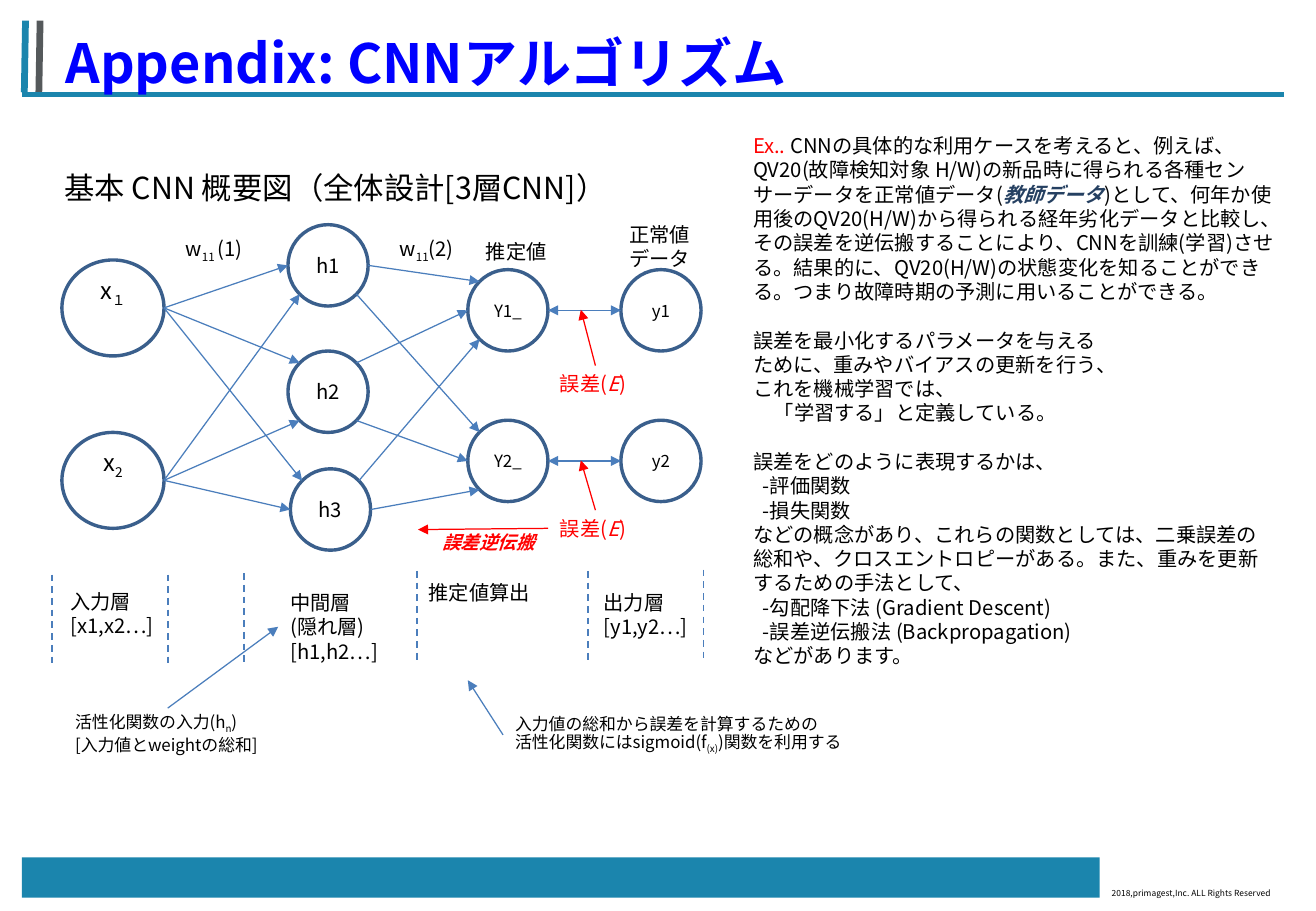
from dataclasses import dataclass
from math import sqrt

from pptx import Presentation
from pptx import util as u
from pptx.dml.color import RGBColor
from pptx.enum import dml, shapes, text
from pptx.oxml.ns import qn
from lxml import etree


@dataclass(frozen=True)
class Theme:
    font: str = "Noto Sans CJK JP"
    teal: str = "1B85AD"
    grey: str = "55595B"
    title: str = "0000FF"
    ink: str = "000000"
    red: str = "FF0000"
    navy: str = "254061"
    ring: str = "3A5F8C"
    link: str = "4B7EBC"
    title_size: int = 32
    heading_size: int = 18
    input_size: int = 14
    body_size: int = 12
    back_size: int = 11
    note_size: int = 10
    legal_size: int = 5
    leading: float = 1.2


T = Theme()

# Content: a run is a string or (string, style); a paragraph is a list of runs
SUB = {"sub": True}
RED = {"color": T.red}
TITLE = [[("Appendix: CNNアルゴリズム", {"bold": True, "color": T.title})]]
ERROR = [[("誤差(", RED), ("E", {"italic": True, **RED}), (")", RED)]]
BACKPROP = [[("誤差逆伝搬", {"bold": True, "italic": True, **RED})]]

# left, top, width, height, size, paragraphs
LABELS = [
    (0.44, 0.19, 6.49, 0.64, T.title_size, TITLE),
    (0.43, 1.34, 4.81, 0.4, T.heading_size, [["基本 CNN 概要図（全体設計[3層CNN]）"]]),
    (1.43, 1.92, 0.75, 0.3, T.body_size, [["w", ("11 ", SUB), "(1)"]]),
    (3.19, 1.92, 0.7, 0.3, T.body_size, [["w", ("11", SUB), "(2)"]]),
    (3.9, 1.92, 0.73, 0.3, T.body_size, [["推定値"]]),
    (5.08, 1.78, 0.73, 0.5, T.body_size, [["正常値"], ["データ"]]),
    (4.51, 3.01, 0.77, 0.3, T.body_size, ERROR),
    (4.51, 4.2, 0.77, 0.3, T.body_size, ERROR),
    (3.54, 4.32, 1.0, 0.29, T.back_size, BACKPROP),
    (0.48, 4.8, 0.92, 0.5, T.body_size, [["入力層"], ["[x1,x2…]"]]),
    (2.29, 4.81, 0.96, 0.71, T.body_size, [["中間層"], ["(隠れ層)"], ["[h1,h2…]"]]),
    (3.43, 4.73, 1.07, 0.3, T.body_size, [["推定値算出"]]),
    (4.87, 4.81, 0.92, 0.5, T.body_size, [["出力層"], ["[y1,y2…]"]]),
    (0.52, 5.83, 1.72, 0.44, T.note_size,
     [["活性化関数の入力(h", ("n", SUB), ")"], ["[入力値とweightの総和]"]]),
    (4.14, 5.83, 2.95, 0.44, T.note_size,
     [["入力値の総和から誤差を計算するための"],
      ["活性化関数にはsigmoid(f", ("(x)", SUB), ")関数を利用する"]]),
]

# gap before (lines), indent (inches), runs
EXPLANATION = [
    (0, 0, [("Ex.. ", RED),
            "CNNの具体的な利用ケースを考えると、例えば、QV20(故障検知対象 H/W)の新品時に"
            "得られる各種センサーデータを正常値データ(",
            ("教師データ", {"bold": True, "italic": True, "color": T.navy}),
            ")として、何年か使用後のQV20(H/W)から得られる経年劣化データと比較し、"
            "その誤差を逆伝搬することにより、CNNを訓練(学習)させる。結果的に、"
            "QV20(H/W)の状態変化を知ることができる。"
            "つまり故障時期の予測に用いることができる。"]),
    (1, 0, ["誤差を最小化するパラメータを与える"]),
    (0, 0, ["ために、重みやバイアスの更新を行う、"]),
    (0, 0, ["これを機械学習では、"]),
    (0, 0.17, ["「学習する」と定義している。"]),
    (1, 0, ["誤差をどのように表現するかは、"]),
    (0, 0.08, ["-評価関数"]),
    (0, 0.08, ["-損失関数"]),
    (0, 0, ["などの概念があり、これらの関数としては、二乗誤差の総和や、"
            "クロスエントロピーがある。また、重みを更新するための手法として、"]),
    (0, 0.08, ["-勾配降下法 (Gradient Descent)"]),
    (0, 0.08, ["-誤差逆伝搬法 (Backpropagation)"]),
    (0, 0, ["などがあります。"]),
]

# Network: name -> left, top, width, height, size, runs
BIG, SMALL = (0.84, 0.79), (0.66, 0.67)
NODES = {
    "x1": (0.51, 2.14, *BIG, T.input_size, ["x", ("１", SUB)]),
    "x2": (0.51, 3.56, *BIG, T.input_size, ["x", ("2", SUB)]),
    "h1": (2.37, 1.85, *SMALL, T.body_size, ["h1"]),
    "h2": (2.37, 2.89, *SMALL, T.body_size, ["h2"]),
    "h3": (2.39, 3.86, *SMALL, T.body_size, ["h3"]),
    "Y1": (3.85, 2.22, *SMALL, T.note_size, ["Y1_"]),
    "Y2": (3.85, 3.46, *SMALL, T.note_size, ["Y2_"]),
    "y1": (5.11, 2.22, *SMALL, T.note_size, ["y1"]),
    "y2": (5.11, 3.46, *SMALL, T.note_size, ["y2"]),
}
EDGES = [line.split() for line in (
    "x1 E h1 W", "x1 E h2 NW", "x1 E h3 NW", "x2 E h1 SW", "x2 E h2 SW", "x2 E h3 W",
    "h1 E Y1 NW", "h1 SE Y2 NW", "h2 NE Y1 W", "h2 SE Y2 W", "h3 NE Y1 SW", "h3 E Y2 SW",
    "Y1 E y1 W", "Y2 E y2 W")]

# start, end, colour
POINTERS = [
    ((4.9, 4.2), (4.78, 3.79), T.red),
    ((4.9, 3.01), (4.78, 2.55), T.red),
    ((4.51, 4.35), (3.44, 4.36), T.red),
    ((4.14, 6.05), (3.85, 5.6), T.link),
    ((1.38, 5.83), (2.29, 5.16), T.link),
]
DIVIDERS = [(0.43, 4.73), (1.38, 4.73), (2.01, 4.72), (3.43, 4.7), (4.84, 4.7), (5.79, 4.69)]
DIVIDER_HEIGHT = 0.75
RULES = [
    ((0.2, 0.76), (0.21, 0.17), T.teal, 4),
    ((0.32, 0.76), (0.33, 0.17), T.grey, 4),
    ((0.18, 0.78), (10.57, 0.78), T.teal, 2.75),
]

deck = Presentation()
deck.slide_width, deck.slide_height = u.Inches(10.83), u.Inches(7.5)
slide = deck.slides.add_slide(deck.slide_layouts[6])


def write(paragraph, runs, size):
    paragraph.line_spacing = u.Pt(round(size * T.leading, 1))
    for item in runs:
        words, style = (item, {}) if isinstance(item, str) else item
        run = paragraph.add_run()
        run.text = words
        font = run.font
        font.name, font.size = T.font, u.Pt(size)
        font.bold, font.italic = style.get("bold", False), style.get("italic", False)
        font.color.rgb = RGBColor.from_string(style.get("color", T.ink))
        props = run._r.get_or_add_rPr()
        etree.SubElement(props, qn("a:ea"), typeface=T.font)
        if style.get("sub"):
            props.set("baseline", "-25000")


def add_text(left, top, width, height, size, paragraphs):
    frame = slide.shapes.add_textbox(*map(u.Inches, (left, top, width, height))).text_frame
    frame.word_wrap = True
    for i, runs in enumerate(paragraphs):
        write(frame.add_paragraph() if i else frame.paragraphs[0], runs, size)
    return frame


def add_line(start, end, color, width, head=False, tail=False, dashed=False):
    link = slide.shapes.add_connector(
        shapes.MSO_CONNECTOR.STRAIGHT, *map(u.Inches, (*start, *end)))
    link.line.color.rgb = RGBColor.from_string(color)
    link.line.width = u.Pt(width)
    if dashed:
        link.line.dash_style = dml.MSO_LINE.DASH
    outline = link.line._get_or_add_ln()
    for wanted, tag in ((head, "a:headEnd"), (tail, "a:tailEnd")):
        if wanted:
            etree.SubElement(outline, qn(tag), type="triangle")
    etree.SubElement(link._element.spPr, qn("a:effectLst"))


def port(name, side):
    """Point on a node's rim in a compass direction."""
    left, top, width, height = NODES[name][:4]
    dx = ("E" in side) - ("W" in side)
    dy = ("S" in side) - ("N" in side)
    reach = 2 * sqrt(dx * dx + dy * dy)
    return left + width / 2 + dx * width / reach, top + height / 2 + dy * height / reach


# Slide frame
footer = slide.shapes.add_shape(
    shapes.MSO_SHAPE.RECTANGLE, *map(u.Inches, (0.18, 7.06, 8.87, 0.33)))
footer.shadow.inherit = False
footer.fill.solid()
footer.fill.fore_color.rgb = RGBColor.from_string(T.teal)
footer.line.fill.background()
legal = add_text(9.05, 7.26, 1.62, 0.19, T.legal_size,
                 [["2018,primagest,Inc. ALL Rights Reserved"]])
legal.vertical_anchor = text.MSO_ANCHOR.MIDDLE
for rule in RULES:
    add_line(*rule)

# Network nodes and links
for left, top, width, height, size, runs in NODES.values():
    node = slide.shapes.add_shape(
        shapes.MSO_SHAPE.OVAL, *map(u.Inches, (left, top, width, height)))
    node.shadow.inherit = False
    node.fill.background()
    node.line.color.rgb = RGBColor.from_string(T.ring)
    node.line.width = u.Pt(2)
    frame = node.text_frame
    frame.word_wrap = False
    frame.vertical_anchor = text.MSO_ANCHOR.MIDDLE
    if size == T.input_size:  # input names sit above the centre
        frame.margin_bottom = u.Inches(0.28)
    frame.paragraphs[0].alignment = text.PP_ALIGN.CENTER
    write(frame.paragraphs[0], runs, size)
for source, out_side, target, in_side in EDGES:
    add_line(port(source, out_side), port(target, in_side), T.link, 0.75,
             head=source.startswith("Y"), tail=True)

# Pointers and layer dividers
for start, end, color in POINTERS:
    add_line(start, end, color, 0.75, tail=True)
for x, y in DIVIDERS:
    add_line((x, y), (x, y + DIVIDER_HEIGHT), T.link, 1, dashed=True)

# Labels and explanation
for label in LABELS:
    add_text(*label)
explanation = add_text(6.1, 1.05, 4.51, 4.54, T.body_size, [runs for _, _, runs in EXPLANATION])
for paragraph, (gap, indent, _) in zip(explanation.paragraphs, EXPLANATION):
    if gap:
        paragraph.space_before = u.Pt(round(gap * T.body_size * T.leading, 1))
    if indent:
        paragraph._p.get_or_add_pPr().set("marL", str(u.Inches(indent)))

deck.save("out.pptx")
